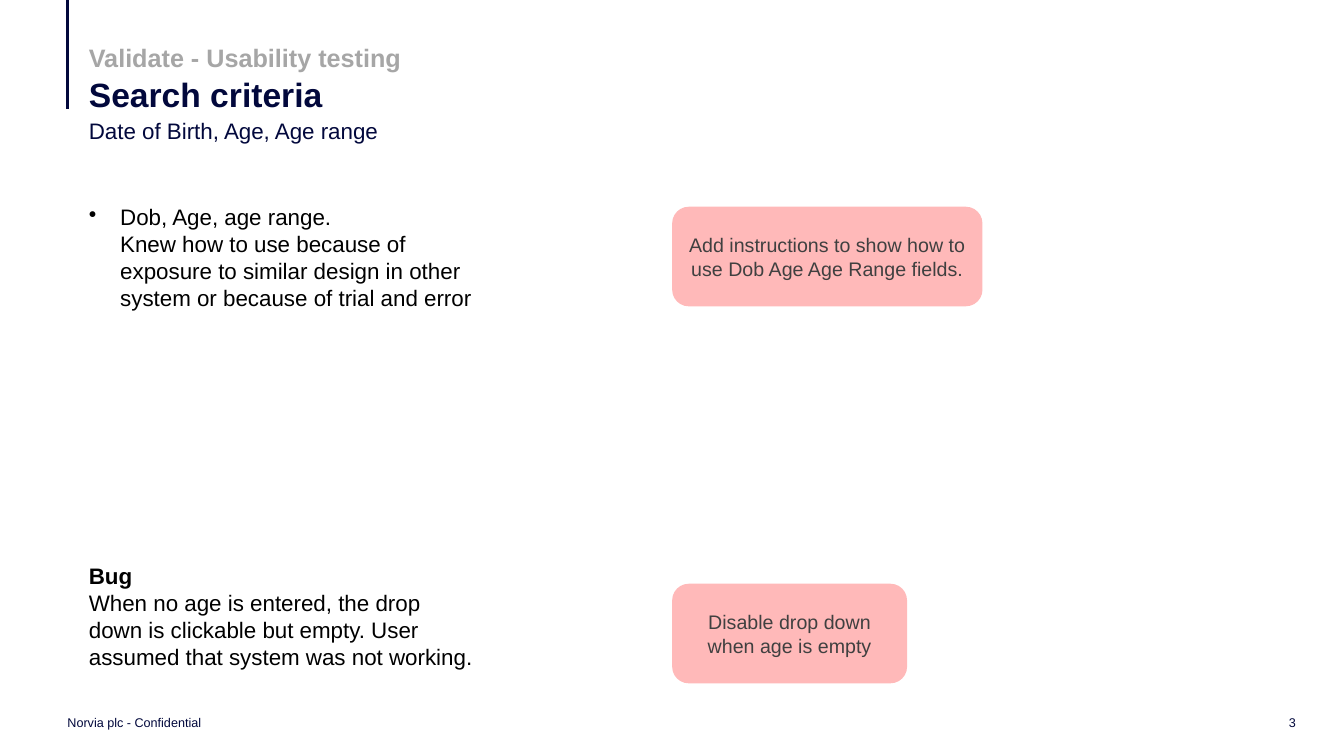
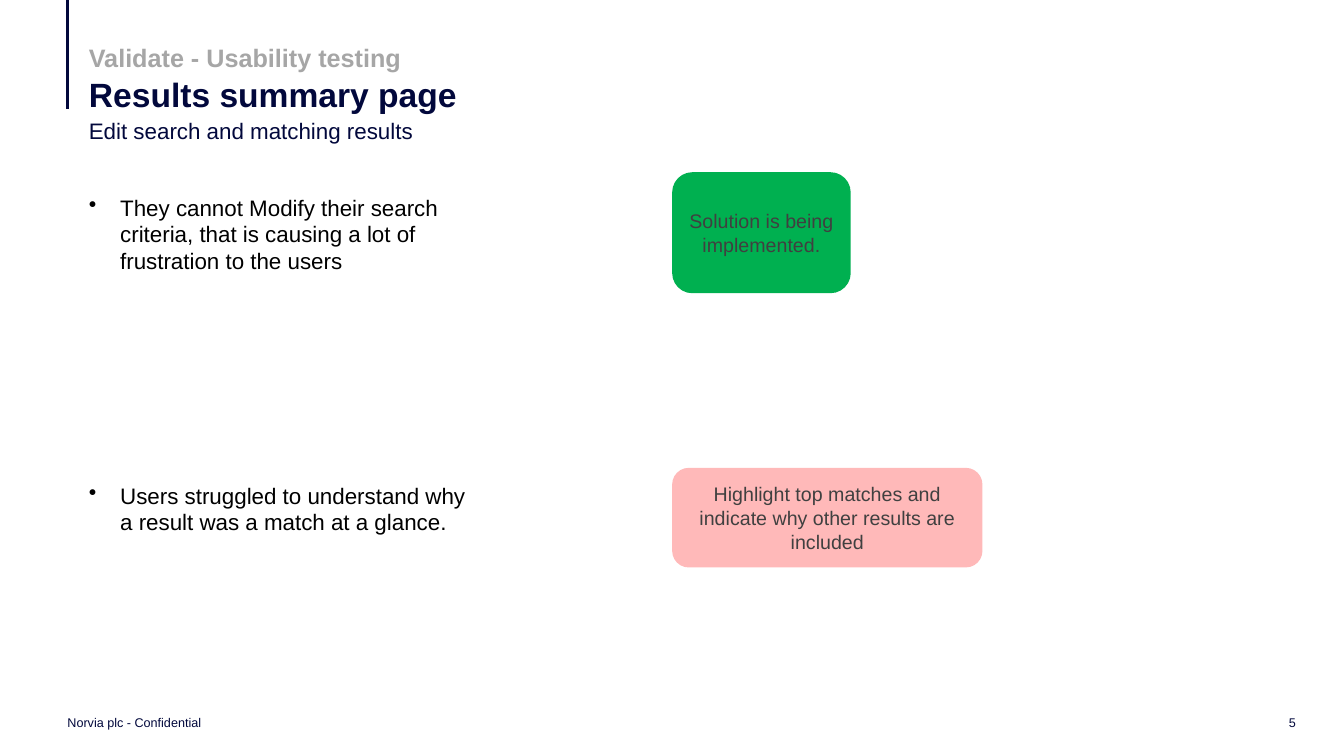
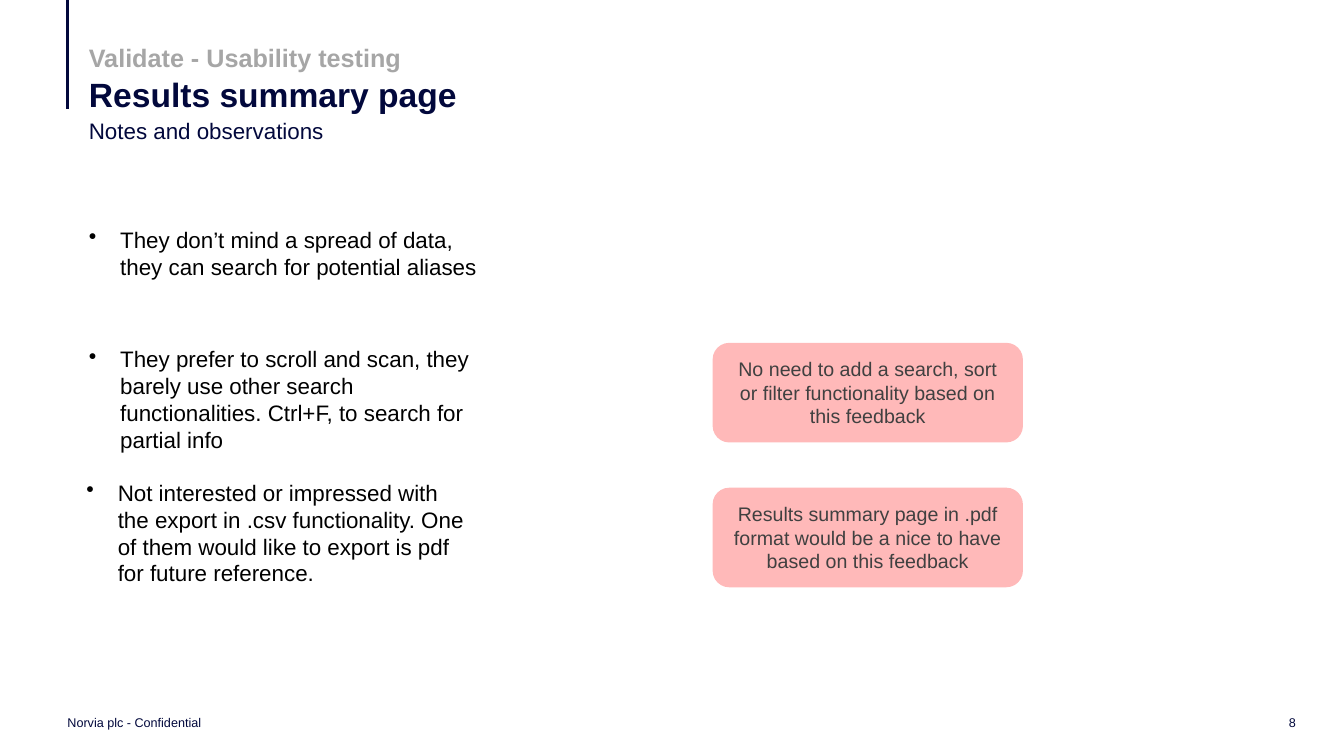
from lxml import etree
from pptx import Presentation
from pptx import util as u
from pptx.dml.color import RGBColor
from pptx.enum import shapes, text
from pptx.oxml.ns import qn

FONT = "Arial"
NAVY, GREY, BLACK, CHARCOAL = "02083C", "A6A6A6", "000000", "404040"
PINK, GREEN = "FFB9B9", "00B050"

# Shared measures, in centimetres
RULE_X = 1.7
TEXT_X = 2.24
NOTE_WIDTH, LINE_HEIGHT, BULLET_INDENT = 9.78, 0.685, 0.79
CARD_X, CARD_WIDTH, CARD_HEIGHT = 16.94, 7.82, 2.51
LATE_CARD_X = 17.96
FOOTER_Y, FOOTER_HEIGHT = 18.01, 0.41

TOP, MIDDLE, BOTTOM = (text.MSO_ANCHOR.TOP, text.MSO_ANCHOR.MIDDLE,
                       text.MSO_ANCHOR.BOTTOM)
LEFT, CENTER, RIGHT = (text.PP_ALIGN.LEFT, text.PP_ALIGN.CENTER,
                       text.PP_ALIGN.RIGHT)


def rgb(hex_string):
    return RGBColor.from_string(hex_string)


def cm_box(box):
    return [u.Cm(length) for length in box]


def set_bullet(paragraph, char=None):
    """Give the paragraph a hanging bullet, or none at all."""
    indent = u.Cm(BULLET_INDENT) if char else 0
    props = paragraph._p.get_or_add_pPr()
    props.set("marL", str(indent))
    props.set("indent", str(-indent))
    if char:
        etree.SubElement(props, qn("a:buChar")).set("char", char)
    else:
        etree.SubElement(props, qn("a:buNone"))


def write(shape, runs, size, color, anchor=TOP, align=LEFT, bullet=None,
          spacing=1.0, inset=0, grow=False):
    """Fill a shape with one paragraph; runs are (words, bold) pairs, a line each."""
    frame = shape.text_frame
    frame.word_wrap = True
    frame.auto_size = (text.MSO_AUTO_SIZE.SHAPE_TO_FIT_TEXT if grow
                       else text.MSO_AUTO_SIZE.NONE)
    frame.vertical_anchor = anchor
    if inset is not None:
        frame.margin_left = frame.margin_right = u.Cm(inset)
        frame.margin_top = frame.margin_bottom = u.Cm(inset)
    paragraph = frame.paragraphs[0]
    set_bullet(paragraph, bullet)
    paragraph.alignment = align
    paragraph.line_spacing = spacing
    paragraph.space_before = u.Pt(0)
    for number, (words, bold) in enumerate(runs):
        if number:
            paragraph.add_line_break()
        run = paragraph.add_run()
        run.text = words
        run.font.name = FONT
        run.font.size = u.Pt(size)
        run.font.bold = bold
        run.font.color.rgb = rgb(color)


def add_text(slide, box, runs, size, color, **style):
    write(slide.shapes.add_textbox(*cm_box(box)), runs, size, color, **style)


def fill_placeholder(placeholder, box, runs, size, color, **style):
    (placeholder.left, placeholder.top,
     placeholder.width, placeholder.height) = cm_box(box)
    write(placeholder, runs, size, color, **style)


def add_header(slide, title, subtitle):
    # Vertical rule
    rule = slide.shapes.add_connector(
        shapes.MSO_CONNECTOR.STRAIGHT, *cm_box((RULE_X, 0, RULE_X, 2.74)))
    rule.line.color.rgb = rgb(NAVY)
    rule.line.width = u.Pt(2.75)
    etree.SubElement(rule._element.spPr, qn("a:effectLst"))
    # Section, title and subtitle
    add_text(slide, (TEXT_X, 0.81, 16.43, 1.02),
             [("Validate - Usability testing", True)], 18, GREY,
             anchor=BOTTOM, spacing=0.9)
    fill_placeholder(slide.shapes.title, (TEXT_X, 1.68, 18.14, 1.22),
                     [(title, True)], 24, NAVY, anchor=BOTTOM, spacing=0.9)
    fill_placeholder(slide.placeholders[1], (TEXT_X, 2.95, 23.85, 0.89),
                     [(subtitle, False)], 16, NAVY)


def add_footer(slide, page):
    add_text(slide, (RULE_X, FOOTER_Y, 11.43, FOOTER_HEIGHT),
             [("Norvia plc - Confidential", False)], 9, NAVY, anchor=MIDDLE)
    add_text(slide, (31.67, FOOTER_Y, 0.99, FOOTER_HEIGHT),
             [(str(page), False)], 9, NAVY, anchor=MIDDLE, align=RIGHT)


def add_note(slide, top, lines, runs, bullet="•", left=TEXT_X):
    """Place an observation as tall as its number of lines."""
    add_text(slide, (left, top, NOTE_WIDTH, lines * LINE_HEIGHT), runs, 16, BLACK,
             bullet=bullet, grow=True)


def add_card(slide, top, words, left=CARD_X, width=CARD_WIDTH,
             height=CARD_HEIGHT, color=PINK):
    """Place a rounded card with the recommended action."""
    card = slide.shapes.add_shape(shapes.MSO_SHAPE.ROUNDED_RECTANGLE,
                                  *cm_box((left, top, width, height)))
    card.shadow.inherit = False
    card.fill.solid()
    card.fill.fore_color.rgb = rgb(color)
    card.line.fill.background()
    write(card, [(words, False)], 14, CHARCOAL, anchor=MIDDLE, align=CENTER,
          inset=None)


def add_findings_slide(prs, page, title, subtitle, notes, cards):
    slide = prs.slides.add_slide(prs.slide_layouts[1])
    add_header(slide, title, subtitle)
    for note in notes:
        add_note(slide, **note)
    for card in cards:
        add_card(slide, **card)
    add_footer(slide, page)


def main():
    prs = Presentation()
    prs.slide_width, prs.slide_height = u.Cm(33.87), u.Cm(19.05)

    add_findings_slide(
        prs, 3, "Search criteria", "Date of Birth, Age, Age range",
        notes=[
            dict(top=5.13, lines=4, runs=[
                ("Dob, Age, age range.", False),
                ("Knew how to use because of exposure to similar design in other "
                 "system or because of trial and error", False)]),
            dict(top=14.17, lines=4, bullet=None, runs=[
                ("Bug", True),
                ("When no age is entered, the drop down is clickable but empty. "
                 "User assumed that system was not working.", False)]),
        ],
        cards=[
            dict(top=5.21, words="Add instructions to show how to use Dob Age "
                                 "Age Range fields."),
            dict(top=14.71, width=5.92,
                 words="Disable drop down when age is empty"),
        ])

    add_findings_slide(
        prs, 5, "Results summary page", "Edit search and matching results",
        notes=[
            dict(top=4.88, lines=3, runs=[
                ("They cannot Modify their search criteria, that is causing a lot "
                 "of frustration to the users", False)]),
            dict(top=12.14, lines=2, runs=[
                ("Users struggled to understand why a result was a match at a "
                 "glance.", False)]),
        ],
        cards=[
            dict(top=4.34, width=4.5, height=3.05, color=GREEN,
                 words="Solution is being implemented."),
            dict(top=11.79, words="Highlight top matches and indicate why other "
                                  "results are included"),
        ])

    add_findings_slide(
        prs, 8, "Results summary page", "Notes and observations",
        notes=[
            dict(top=5.69, lines=3, runs=[
                ("They don’t mind a spread of data, they can search for potential "
                 "aliases", False)]),
            dict(top=8.71, lines=4, runs=[
                ("They prefer to scroll and scan, they barely use other search "
                 "functionalities. Ctrl+F, to search for partial info", False)]),
            dict(top=12.07, lines=4, left=2.18, runs=[
                ("Not interested or impressed with the export in .csv "
                 "functionality. One of them would like to export is pdf for "
                 "future reference.", False)]),
        ],
        cards=[
            dict(top=8.64, left=LATE_CARD_X,
                 words="No need to add a search, sort or filter functionality "
                       "based on this feedback"),
            dict(top=12.29, left=LATE_CARD_X,
                 words="Results summary page in .pdf format would be a nice to "
                       "have based on this feedback"),
        ])

    prs.save("out.pptx")


if __name__ == "__main__":
    main()
